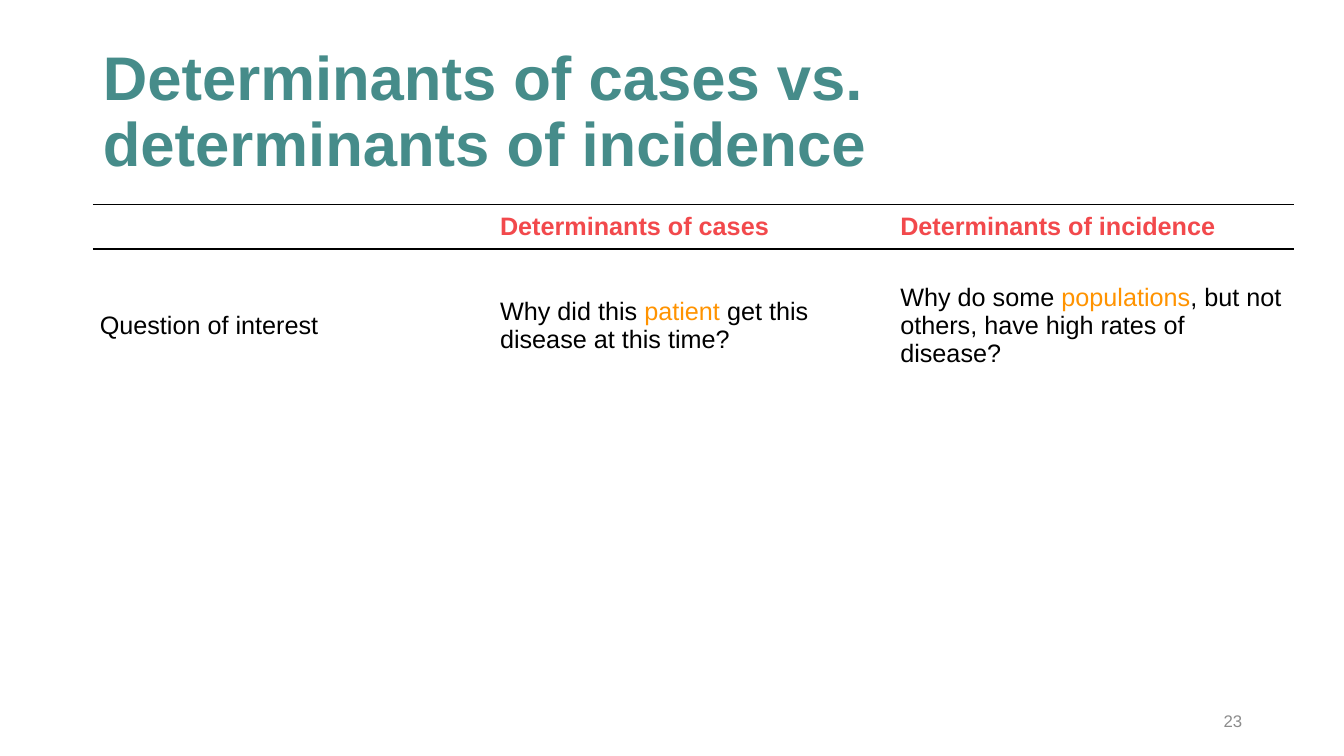
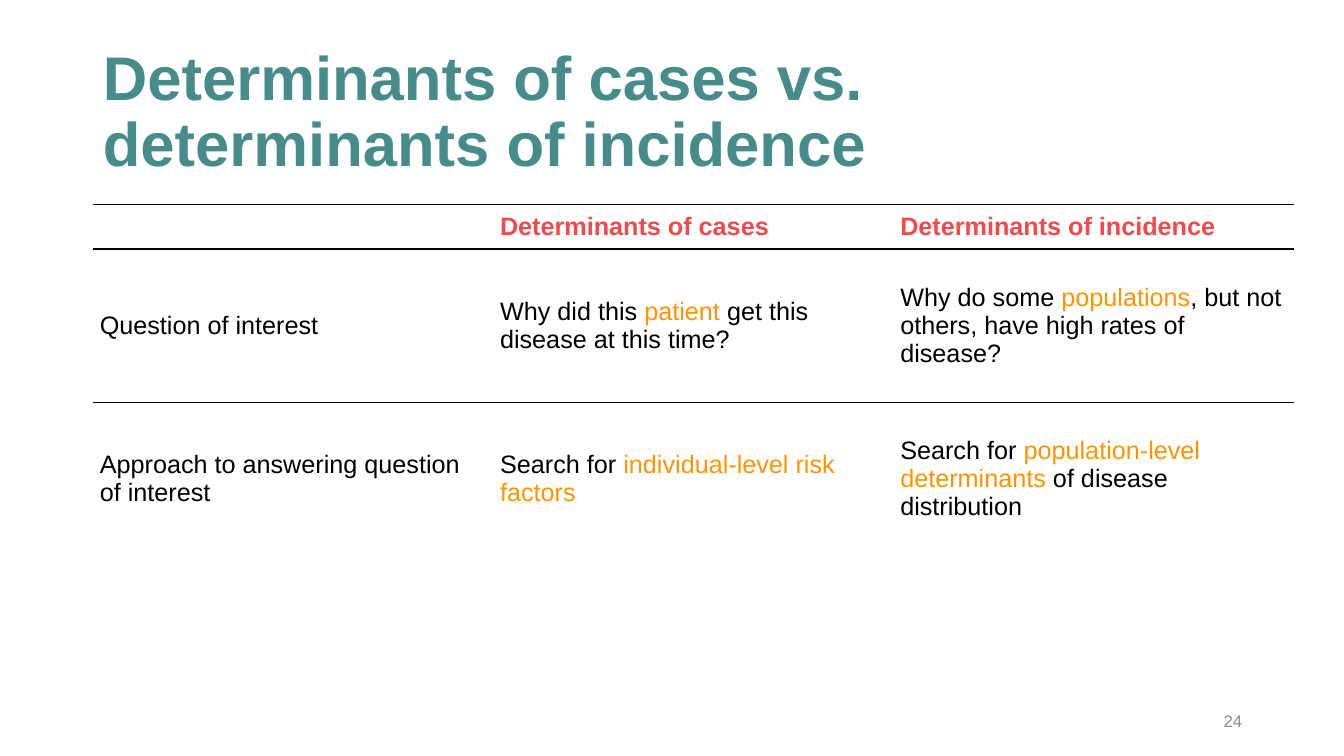
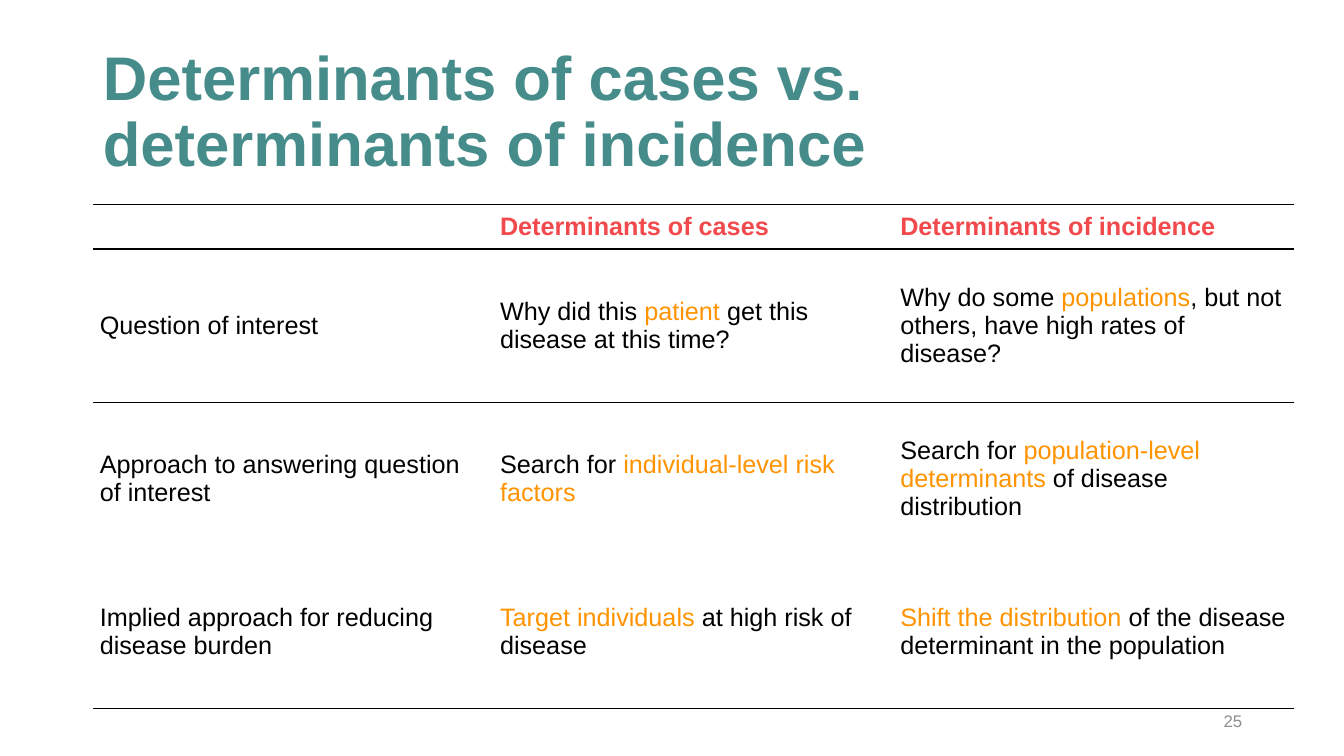
"""Builds three slides that reveal a comparison table row by row."""
import pptx
import pptx.dml.color
import pptx.enum.text
import pptx.oxml
import pptx.oxml.ns
import pptx.util

Inches = pptx.util.Inches
Pt = pptx.util.Pt
RGBColor = pptx.dml.color.RGBColor
MSO_ANCHOR = pptx.enum.text.MSO_ANCHOR
PP_ALIGN = pptx.enum.text.PP_ALIGN

FONT = "Arial"
TEAL = RGBColor(0x46, 0x8C, 0x8A)
RED = RGBColor(0xF2, 0x49, 0x4C)
ORANGE = RGBColor(0xFF, 0x93, 0x00)
BLACK = RGBColor(0, 0, 0)
GRAY = RGBColor(0x8C, 0x8C, 0x8C)

LEFT = 0.92
TABLE_TOP = 2.03
COLUMN_WIDTH = 3.97
HEADER_HEIGHT = 0.44
ROW_HEIGHT = 1.52
FIRST_NUMBER = 23

TITLE = "Determinants of cases vs. determinants of incidence"
HEADER = ("", "Determinants of cases", "Determinants of incidence")
# Asterisks enclose the highlighted words.
ROWS = (
    (
        "Question of interest",
        "Why did this *patient* get this disease at this time?",
        "Why do some *populations*, but not others, have high rates of disease?",
    ),
    (
        "Approach to answering question of interest",
        "Search for *individual-level risk factors*",
        "Search for *population-level determinants* of disease distribution",
    ),
    (
        "Implied approach for reducing disease burden",
        "*Target individuals* at high risk of disease",
        "*Shift the distribution* of the disease determinant in the population",
    ),
)
RULED_EDGES = {0, 1, 2, len(ROWS) + 1}


def style_font(font, size, color, bold=False):
    """Set the typeface, size, colour and weight of a font."""
    font.name = FONT
    font.size = Pt(size)
    font.color.rgb = color
    font.bold = bold


def add_title(page):
    """Place and format the title placeholder."""
    box = page.shapes.title
    box.left, box.top = Inches(LEFT), Inches(0.4)
    box.width, box.height = Inches(11.5), Inches(1.45)
    frame = box.text_frame
    frame.text = TITLE
    frame.word_wrap = True
    frame.auto_size = pptx.enum.text.MSO_AUTO_SIZE.NONE
    frame.vertical_anchor = MSO_ANCHOR.MIDDLE
    para = frame.paragraphs[0]
    para.alignment = PP_ALIGN.LEFT
    para.line_spacing = 0.9
    style_font(para.runs[0].font, 44, TEAL, bold=True)


def add_page_number(page, number):
    """Write the slide number at the lower right."""
    box = page.shapes.add_textbox(Inches(9.42), Inches(6.95), Inches(3), Inches(0.4))
    frame = box.text_frame
    frame.word_wrap = True
    frame.vertical_anchor = MSO_ANCHOR.MIDDLE
    frame.text = str(number)
    para = frame.paragraphs[0]
    para.alignment = PP_ALIGN.RIGHT
    style_font(para.runs[0].font, 12, GRAY)


def set_border(cell, side, ruled):
    """Draw a black rule on one side of a cell, or clear that side."""
    fill = f'<a:solidFill><a:srgbClr val="{BLACK}"/></a:solidFill>' if ruled else "<a:noFill/>"
    namespace = pptx.oxml.ns.nsdecls("a")
    border = pptx.oxml.parse_xml(f'<a:ln{side} {namespace} w="{Pt(1)}">{fill}</a:ln{side}>')
    cell._tc.get_or_add_tcPr().append(border)


def fill_cell(cell, text, row_index, row_count):
    """Write text with highlighted words and rule the cell."""
    cell.vertical_anchor = MSO_ANCHOR.MIDDLE
    cell.margin_left = cell.margin_right = Inches(0.07)
    cell.margin_top = cell.margin_bottom = Inches(0.04)
    is_header = row_index == 0
    para = cell.text_frame.paragraphs[0]
    for index, part in enumerate(text.split("*")):
        if part:
            span = para.add_run()
            span.text = part
            color = RED if is_header else ORANGE if index % 2 else BLACK
            style_font(span.font, 18, color, bold=is_header)
    bottom = row_index + 1
    bottom_ruled = bottom in RULED_EDGES and (bottom < row_count or bottom == len(ROWS) + 1)
    for side, ruled in (("L", False), ("R", False),
                        ("T", row_index in RULED_EDGES), ("B", bottom_ruled)):
        set_border(cell, side, ruled)
    cell.fill.background()


def add_comparison(page, rows):
    """Add the comparison table with the given body rows."""
    contents = (HEADER, *rows)
    table = page.shapes.add_table(
        len(contents), len(HEADER), Inches(LEFT), Inches(TABLE_TOP),
        Inches(COLUMN_WIDTH * len(HEADER)),
        Inches(HEADER_HEIGHT + ROW_HEIGHT * len(rows)),
    ).table
    table.first_row = table.horz_banding = False
    for column in table.columns:
        column.width = Inches(COLUMN_WIDTH)
    for row_index, texts in enumerate(contents):
        table.rows[row_index].height = Inches(ROW_HEIGHT if row_index else HEADER_HEIGHT)
        for column_index, text in enumerate(texts):
            fill_cell(table.cell(row_index, column_index), text, row_index, len(contents))


def main():
    """Build and save the deck."""
    deck = pptx.Presentation()
    deck.slide_width, deck.slide_height = Inches(13.33), Inches(7.5)
    for index in range(len(ROWS)):
        page = deck.slides.add_slide(deck.slide_layouts[5])
        add_title(page)
        add_comparison(page, ROWS[:index + 1])
        add_page_number(page, FIRST_NUMBER + index)
    deck.save("out.pptx")


if __name__ == "__main__":
    main()
